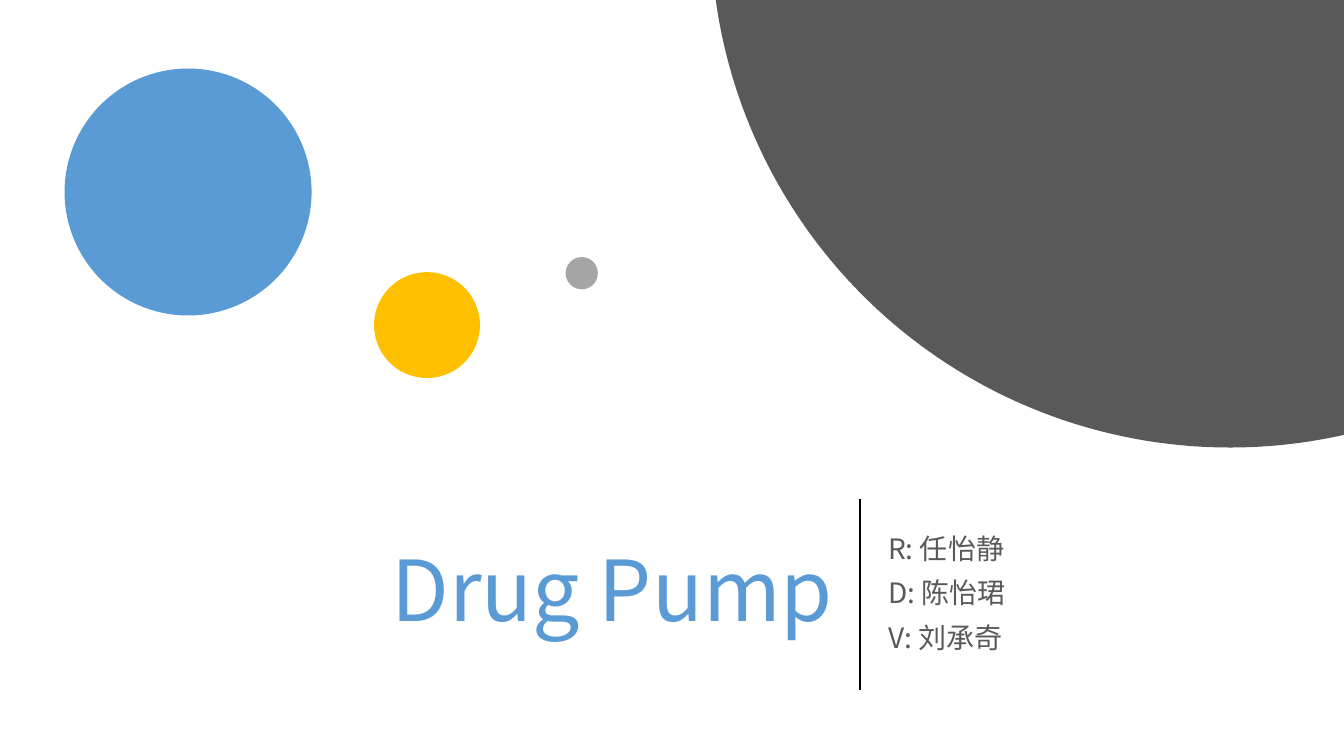
from math import acos, asin, cos, pi, sin

from lxml import etree
from pptx import Presentation
from pptx.dml.color import RGBColor
from pptx.enum.shapes import MSO_CONNECTOR, MSO_SHAPE
from pptx.enum.text import MSO_ANCHOR, PP_ALIGN
from pptx.oxml.ns import qn
from pptx.util import Inches, Pt

OVAL = MSO_SHAPE.OVAL
STRAIGHT = MSO_CONNECTOR.STRAIGHT
MIDDLE = MSO_ANCHOR.MIDDLE
LEFT, RIGHT = PP_ALIGN.LEFT, PP_ALIGN.RIGHT

FONT = "Noto Sans CJK SC"
COLORS = {
    "blue": "5B9BD5",
    "yellow": "FFC000",
    "silver": "A5A5A5",
    "charcoal": "595959",
    "black": "000000",
}
WIDTH, HEIGHT = 13.33, 7.5
BAND_TOP, BAND_HEIGHT = 4.95, 1.9
DIVIDER_X = 8.53
CIRCLES = [
    (0.64, 0.68, 2.45, "blue"),
    (3.71, 2.7, 1.05, "yellow"),
    (5.61, 2.55, 0.32, "silver"),
]
MEMBERS = ["R: 任怡静", "D: 陈怡珺", "V: 刘承奇"]


def color(name):
    """Return the named palette colour."""
    return RGBColor.from_string(COLORS[name])


def paint(shape, fill):
    """Give a shape a flat fill without outline or shadow."""
    shape.shadow.inherit = False
    shape.fill.solid()
    shape.fill.fore_color.rgb = color(fill)
    shape.line.fill.background()


def add_circle(page, left, top, size, fill):
    """Add a filled circle."""
    circle = page.shapes.add_shape(
        OVAL, Inches(left), Inches(top), Inches(size), Inches(size))
    paint(circle, fill)


def add_corner_disc(page, center_x, center_y, radius, fill, steps=120):
    """Add the part of a large disc that lies inside the page's top right corner."""
    start = acos((WIDTH - center_x) / radius)
    end = pi - asin(-center_y / radius)
    angles = [start + (end - start) * step / steps for step in range(steps + 1)]
    arc = [(Inches(center_x + radius * cos(angle)),
            Inches(center_y + radius * sin(angle))) for angle in angles]
    builder = page.shapes.build_freeform(Inches(WIDTH), 0)
    builder.add_line_segments(arc, close=True)
    paint(builder.convert_to_shape(), fill)


def add_divider(page):
    """Add the vertical rule between the title and the members."""
    line = page.shapes.add_connector(
        STRAIGHT, Inches(DIVIDER_X), Inches(BAND_TOP),
        Inches(DIVIDER_X), Inches(BAND_TOP + BAND_HEIGHT))
    line.line.color.rgb = color("black")
    line.line.width = Pt(1.5)
    etree.SubElement(line._element.spPr, qn("a:effectLst"))


def add_text(page, left, width, lines, size, fill, align=LEFT, before=0):
    """Add a vertically centred text box in the lower band."""
    box = page.shapes.add_textbox(
        Inches(left), Inches(BAND_TOP), Inches(width), Inches(BAND_HEIGHT))
    frame = box.text_frame
    frame.word_wrap = True
    frame.vertical_anchor = MIDDLE
    for index, line in enumerate(lines):
        para = frame.add_paragraph() if index else frame.paragraphs[0]
        para.alignment = align
        para.line_spacing = 0.9
        para.space_before = Pt(before)
        span = para.add_run()
        span.text = line
        span.font.size = Pt(size)
        span.font.name = FONT
        span.font.color.rgb = color(fill)
        etree.SubElement(span.font._element, qn("a:ea"), typeface=FONT)


def main():
    """Build the title slide."""
    deck = Presentation()
    deck.slide_width, deck.slide_height = Inches(WIDTH), Inches(HEIGHT)
    page = deck.slides.add_slide(deck.slide_layouts[6])
    for circle in CIRCLES:
        add_circle(page, *circle)
    add_corner_disc(page, 12.2, -0.71, 5.15, "charcoal")
    add_divider(page)
    add_text(page, 0.92, 7.44, ["Drug Pump"], 60, "blue", align=RIGHT)
    add_text(page, 8.71, 3.56, MEMBERS, 20, "charcoal", before=10)
    deck.save("out.pptx")


if __name__ == "__main__":
    main()
